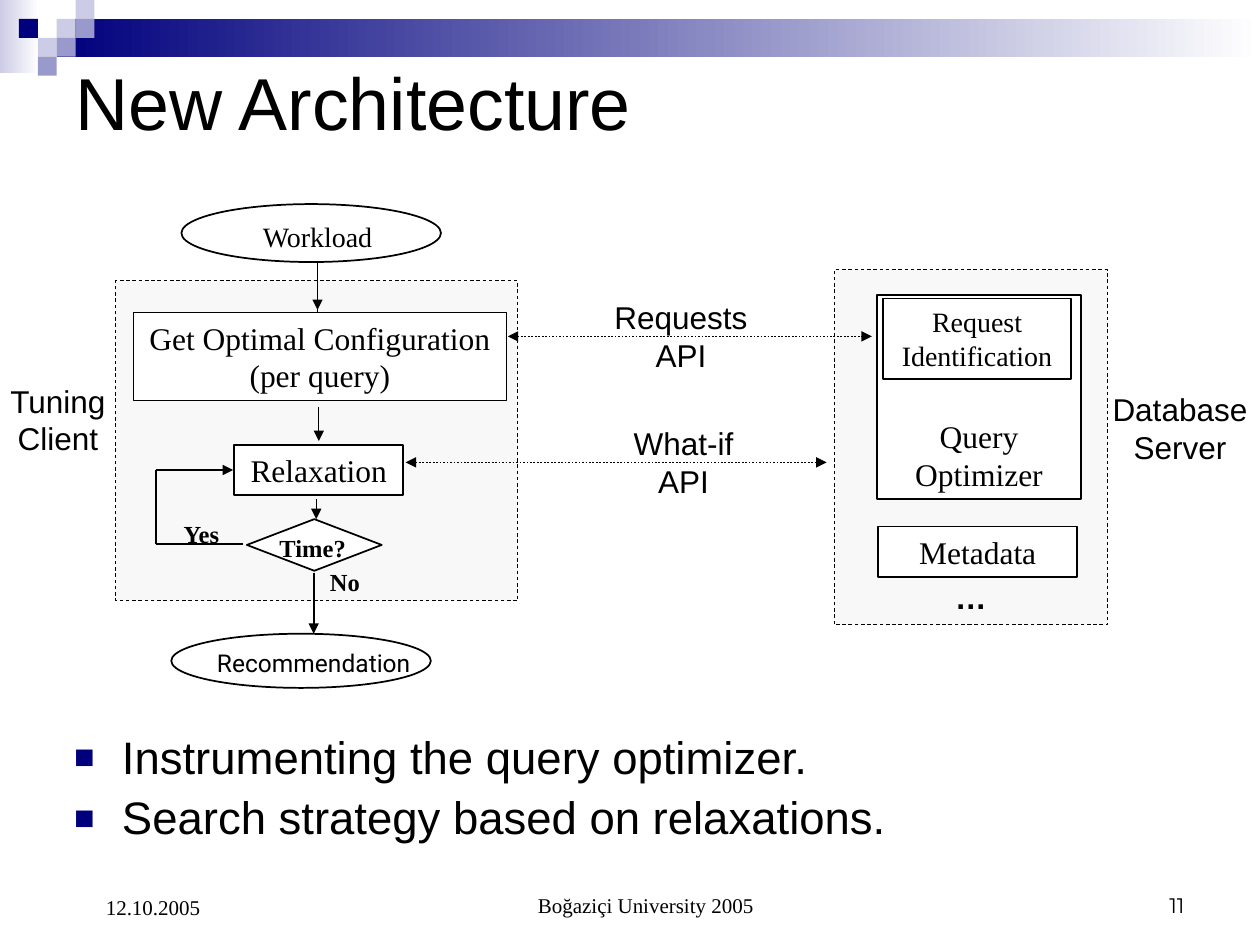
from pptx import Presentation
from pptx.dml.color import RGBColor
from pptx.enum.dml import MSO_LINE as Dash
from pptx.enum.shapes import MSO_CONNECTOR as Link, MSO_SHAPE as Kind
from pptx.enum.text import MSO_ANCHOR as Anchor, PP_ALIGN as Align
from pptx.oxml.ns import qn
from pptx.util import Inches, Pt
from lxml.etree import SubElement as Sub

SERIF, SANS = "Times New Roman", "Arial"
NAVY, MID, PALE = "00007D", "9999CC", "CCCCE6"
BLACK, WHITE, GREY = "000000", "FFFFFF", "F8F8F8"


def color(code):
    return RGBColor.from_string(code)


def write(shape, text, font=SERIF, size=18, bold=False, align=Align.CENTER,
          anchor=Anchor.TOP, wrap=True, left=0.1):
    frame = shape.text_frame
    frame.word_wrap = wrap
    frame.vertical_anchor = anchor
    frame.margin_left, frame.margin_right = Inches(left), Inches(0.1)
    frame.margin_top = frame.margin_bottom = Inches(0.05)
    frame.text = text
    for para in frame.paragraphs:
        para.alignment = align
        for run in para.runs:
            style = run.font
            style.name, style.size, style.bold = font, Pt(size), bold
            style.color.rgb = color(BLACK)
    return frame


def label(slide, x, y, w, h, text, **form):
    box = slide.shapes.add_textbox(Inches(x), Inches(y), Inches(w), Inches(h))
    return write(box, text, **form)


def draw(slide, x, y, w, h, fill=None, line=None, width=1, dash=None,
         kind=Kind.RECTANGLE):
    shape = slide.shapes.add_shape(kind, Inches(x), Inches(y), Inches(w), Inches(h))
    shape.shadow.inherit = False
    if fill:
        shape.fill.solid()
        shape.fill.fore_color.rgb = color(fill)
    else:
        shape.fill.background()
    if line:
        shape.line.color.rgb = color(line)
        shape.line.width = Pt(width)
        shape.line.dash_style = dash
    else:
        shape.line.fill.background()
    return shape


def node(slide, x, y, w, h, text, fill=WHITE, **form):
    return write(draw(slide, x, y, w, h, fill, BLACK), text, **form)


def zone(slide, x, y, w, h):
    draw(slide, x, y, w, h, GREY, BLACK, 0.5, Dash.DASH)


def link(slide, x1, y1, x2, y2, ends=("tailEnd",), width=1, dash=None):
    line = slide.shapes.add_connector(
        Link.STRAIGHT, Inches(x1), Inches(y1), Inches(x2), Inches(y2))
    line.line.color.rgb = color(BLACK)
    line.line.width = Pt(width)
    line.line.dash_style = dash
    props = line.line._get_or_add_ln()
    for end in ends:
        Sub(props, qn("a:" + end), type="triangle")
    Sub(line._element.spPr, qn("a:effectLst"))


def fade(slide, x, y, w, h, start):
    """Draw a bar that fades to white on the right."""
    fill = draw(slide, x, y, w, h).fill
    fill.gradient()
    fill.gradient_angle = 0
    for stop, code, pos in zip(fill.gradient_stops, (start, WHITE), (0, 1)):
        stop.color.rgb = color(code)
        stop.position = pos


def banner(slide, x, y, w):
    fade(slide, x, y, 0.31, 0.58, PALE)
    fade(slide, x + 0.45, y + 0.15, w - 0.45, 0.3, NAVY)
    step = 0.15
    tiles = [(3, 1, PALE), (4, 0, PALE), (4, 1, MID), (2, 2, PALE),
             (1, 1, NAVY), (3, 2, MID), (2, 3, MID)]
    for col, row, code in tiles:
        draw(slide, x + col * step, y + row * step, step, step, code)


def server(slide, x, y, w, h):
    zone(slide, x, y, w, h)
    label(slide, x, y + 2.4, w, 0.39, "…", font=SANS, bold=True,
          anchor=Anchor.MIDDLE)
    node(slide, x + 0.34, y + 0.2, 1.62, 1.62, "Query\nOptimizer",
         anchor=Anchor.BOTTOM)
    node(slide, x + 0.39, y + 0.23, 1.49, 0.64, "Request Identification",
         fill=None, size=16)
    node(slide, x + 0.35, y + 2.04, 1.58, 0.4, "Metadata")
    label(slide, x + w - 0.06, y + 0.91, 1.27, 0.7, "Database\nServer",
          font=SANS, wrap=False)


def client(slide, x, y, w, h):
    zone(slide, x, y, w, h)
    label(slide, x - 0.94, y + 0.75, 0.96, 0.7, "Tuning\nClient",
          font=SANS, wrap=False)
    node(slide, x + 0.14, y + 0.25, 2.96, 0.7,
         "Get Optimal Configuration\n(per query)")
    node(slide, x + 0.94, y + 1.3, 1.34, 0.4, "Relaxation")
    draw(slide, x + 1.04, y + 1.89, 1.07, 0.41, WHITE, BLACK,
         kind=Kind.FLOWCHART_DECISION)
    for dx, dy, wide, text in [(1.2, 1.95, 1.07, "Time?"),
                               (0.44, 1.84, 0.74, "Yes"),
                               (1.6, 2.22, 0.74, "No")]:
        label(slide, x + dx, y + dy, wide, 0.34, text, size=14, bold=True,
              align=Align.LEFT)

    # Loop from the decision back to the relaxation step
    link(slide, x + 1.01, y + 2.09, x + 0.32, y + 2.09, ends=())
    link(slide, x + 0.32, y + 2.09, x + 0.32, y + 1.5, ends=())
    link(slide, x + 0.32, y + 1.5, x + 0.93, y + 1.5)
    link(slide, x + 1.61, y + 1, x + 1.61, y + 1.27, width=0.75)
    link(slide, x + 1.59, y + 1.73, x + 1.59, y + 1.89, width=0.75)

    # Input above the zone, output below it
    draw(slide, x + 0.52, y - 0.61, 2.06, 0.46, line=BLACK, kind=Kind.OVAL)
    label(slide, x + 0.69, y - 0.54, 1.82, 0.37, "Workload", size=16)
    link(slide, x + 1.6, y - 0.14, x + 1.6, y + 0.25, ends=())
    link(slide, x + 1.6, y - 0.05, x + 1.6, y + 0.23)
    draw(slide, x + 0.44, y + h + 0.26, 2.06, 0.43, line=BLACK, kind=Kind.OVAL)
    label(slide, x + 0.36, y + h + 0.32, 2.42, 0.34, "Recommendation",
          font="Roboto", size=14)
    link(slide, x + 1.57, y + 2.32, x + 1.57, y + h + 0.26)


def calls(slide, y):
    """Draw the two interfaces between client and server."""
    for x1, x2, dy, x, wide, text in [
            (4.03, 6.92, 0, 4.7, 1.41, "Requests\nAPI"),
            (3.22, 6.56, 1, 4.83, 1.19, "What-if\nAPI")]:
        link(slide, x1, y + dy, x2, y + dy, ends=("headEnd", "tailEnd"),
             dash=Dash.ROUND_DOT)
        label(slide, x, y + dy - 0.35, wide, 0.7, text, font=SANS, wrap=False)


def points(slide, x, y, w, h, lines):
    frame = label(slide, x, y, w, h, "\n".join(lines), font=SANS, size=26,
                  align=Align.LEFT)
    for i, para in enumerate(frame.paragraphs):
        para.space_before = Pt(6.5)
        para.line_spacing = 0.9 if i else 1.0
        props = para._p.get_or_add_pPr()
        props.set("marL", str(Inches(0.38)))
        props.set("indent", str(-Inches(0.38)))
        Sub(Sub(props, qn("a:buClr")), qn("a:srgbClr"), val=NAVY)
        Sub(props, qn("a:buSzPct"), val="75000")
        Sub(props, qn("a:buFont"), typeface=SANS)
        Sub(props, qn("a:buChar"), char="■")


def footer(slide, y):
    low = {"size": 12, "anchor": Anchor.BOTTOM}
    label(slide, 3.42, y, 3.17, 0.5, "Boğaziçi University 2005", left=0.34, **low)
    label(slide, 7.17, y, 2.33, 0.5, "11", font="Montserrat",
          align=Align.RIGHT, **low)
    label(slide, 0.5, y, 2.33, 0.52, "12.10.2005", align=Align.LEFT,
          left=0.34, **low)


def main():
    deck = Presentation()
    deck.slide_width, deck.slide_height = Inches(10), Inches(7.5)
    slide = deck.slides.add_slide(deck.slide_layouts[6])
    banner(slide, 0, 0, 10)
    label(slide, 0.5, 0.54, 9, 0.53, "New Architecture", font=SANS, size=42,
          align=Align.LEFT, anchor=Anchor.MIDDLE)
    server(slide, 6.62, 2.14, 2.17, 2.82)
    client(slide, 0.92, 2.23, 3.19, 2.54)
    calls(slide, 2.67)
    points(slide, 0.49, 5.74, 8.5, 1.08,
           ["Instrumenting the query optimizer.",
            "Search strategy based on relaxations."])
    footer(slide, 6.83)
    deck.save("out.pptx")


if __name__ == "__main__":
    main()
